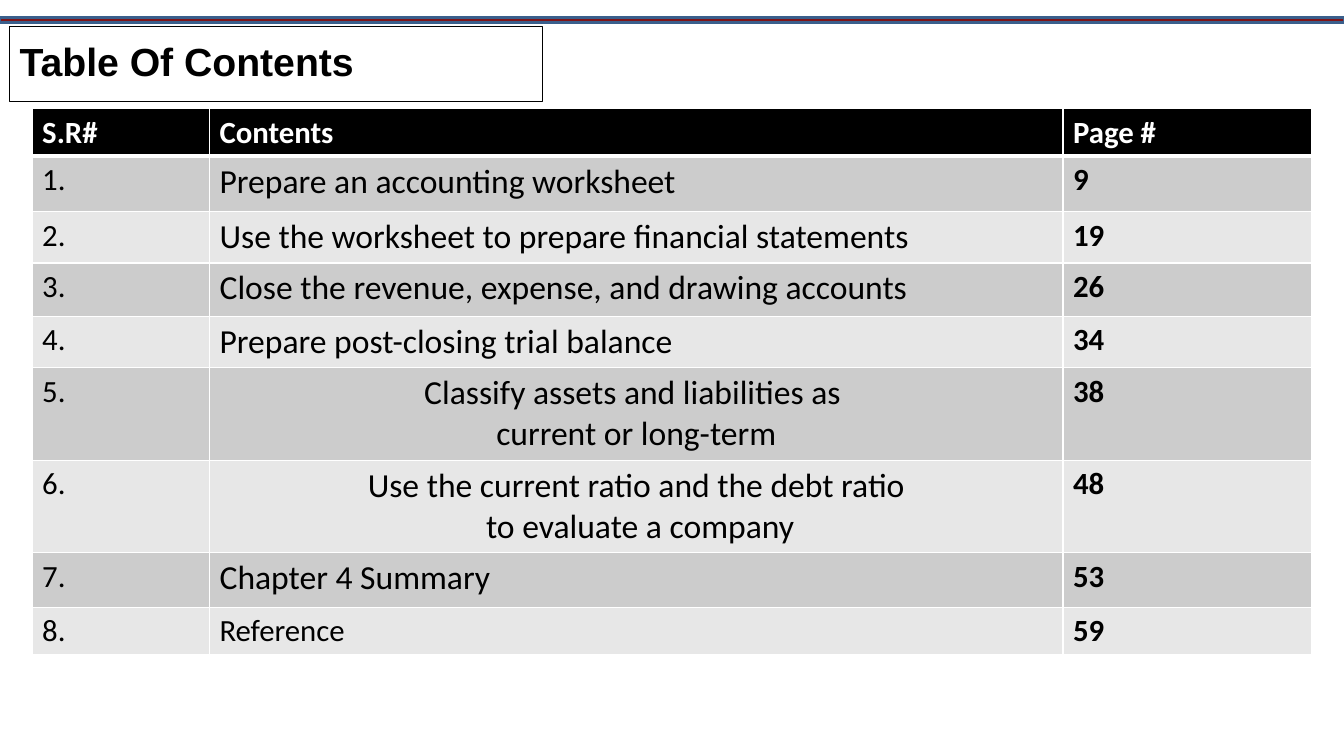
from dataclasses import dataclass

from lxml.etree import SubElement
from pptx import Presentation
from pptx.dml.color import RGBColor
from pptx.enum.shapes import MSO_SHAPE
from pptx.enum.text import MSO_ANCHOR, MSO_AUTO_SIZE, PP_ALIGN
from pptx.oxml.ns import qn
from pptx.util import Cm, Pt


@dataclass(frozen=True)
class Theme:
    """Colours, fonts and type sizes of the slide."""
    black: str = "000000"
    white: str = "FFFFFF"
    stripe: str = "7F1417"
    stripe_edge: str = "3A5F8C"
    bands: tuple = ("CCCCCC", "E7E7E7")
    title_font: str = "Arial"
    table_font: str = "Calibri"
    title_size: int = 28
    label_size: int = 22
    topic_size: int = 24


THEME = Theme()
COLUMN_WIDTHS = (4.47, 21.51, 6.27)
HEADINGS = ("S.R#", "Contents", "Page #")
HEADING_HEIGHT = 1.17
ENTRIES = (
    ("Prepare an accounting worksheet", "9", 1.4),
    ("Use the worksheet to prepare financial statements", "19", 1.29),
    ("Close the revenue, expense, and drawing accounts", "26", 1.35),
    ("Prepare post-closing trial balance", "34", 1.29),
    ("Classify assets and liabilities as \ncurrent or long-term", "38", 2.33),
    ("Use the current ratio and the debt ratio\n to evaluate a company", "48", 2.33),
    ("Chapter 4 Summary", "53", 1.37),
    ("Reference", "59", 1.2),
)


def color(value):
    """Return a colour object for a hex value."""
    return RGBColor.from_string(value)


def style_font(font, name, size, value, bold):
    """Apply a typeface, size, colour and weight to a font."""
    font.name, font.size, font.bold = name, Pt(size), bold
    font.color.rgb = color(value)


def add_stripe(slide, left, top, width, height):
    """Draw the coloured stripe along the top edge."""
    stripe = slide.shapes.add_shape(
        MSO_SHAPE.RECTANGLE, Cm(left), Cm(top), Cm(width), Cm(height))
    stripe.shadow.inherit = False
    stripe.fill.solid()
    stripe.fill.fore_color.rgb = color(THEME.stripe)
    stripe.line.color.rgb = color(THEME.stripe_edge)
    stripe.line.width = Pt(2)


def place_title(slide, text, left, top, width, height):
    """Fit the title placeholder into an outlined box."""
    title = slide.shapes.title
    title.left, title.top = Cm(left), Cm(top)
    title.width, title.height = Cm(width), Cm(height)
    title.line.color.rgb = color(THEME.black)
    title.line.width = Pt(0.75)
    frame = title.text_frame
    frame.text = text
    frame.word_wrap = True
    frame.auto_size = MSO_AUTO_SIZE.NONE
    frame.vertical_anchor = MSO_ANCHOR.MIDDLE
    paragraph = frame.paragraphs[0]
    paragraph.alignment = PP_ALIGN.LEFT
    paragraph.line_spacing = 0.9
    paragraph.space_before = Pt(0)
    style_font(paragraph.font, THEME.title_font, THEME.title_size, THEME.black, True)


def add_borders(cell, top, bottom):
    """Give a cell white borders with the given top and bottom widths."""
    properties = cell._tc.get_or_add_tcPr()
    for side, width in (("L", 1), ("R", 1), ("T", top), ("B", bottom)):
        line = SubElement(properties, qn(f"a:ln{side}"), w=str(Pt(width)))
        fill = SubElement(line, qn("a:solidFill"))
        SubElement(fill, qn("a:srgbClr"), val=THEME.white)


def fill_cell(cell, text, size, text_color, bold, background, top=1, bottom=1):
    """Write and format one table cell, centring text of several paragraphs."""
    add_borders(cell, top, bottom)
    cell.fill.solid()
    cell.fill.fore_color.rgb = color(background)
    cell.text = text
    paragraphs = cell.text_frame.paragraphs
    for paragraph in paragraphs:
        paragraph.alignment = PP_ALIGN.CENTER if len(paragraphs) > 1 else PP_ALIGN.LEFT
        style_font(paragraph.font, THEME.table_font, size, text_color, bold)


def add_contents_table(slide, left, top):
    """Build the table of numbered topics and page numbers."""
    heights = (HEADING_HEIGHT, *(height for _, _, height in ENTRIES))
    table = slide.shapes.add_table(
        len(heights), len(COLUMN_WIDTHS), Cm(left), Cm(top),
        Cm(sum(COLUMN_WIDTHS)), Cm(sum(heights))).table
    table.first_row = table.horz_banding = False
    for column, width in zip(table.columns, COLUMN_WIDTHS):
        column.width = Cm(width)
    for row, height in zip(table.rows, heights):
        row.height = Cm(height)
    for column, heading in enumerate(HEADINGS):
        fill_cell(table.cell(0, column), heading, THEME.label_size,
                  THEME.white, True, THEME.black, bottom=3)
    for number, (topic, page, _) in enumerate(ENTRIES, 1):
        is_reference = number == len(ENTRIES)
        topic_size = THEME.label_size if is_reference else THEME.topic_size
        values = (
            (f"{number}.", THEME.label_size, False),
            (topic, topic_size, False),
            (page, THEME.label_size, True),
        )
        for column, (text, size, bold) in enumerate(values):
            fill_cell(table.cell(number, column), text, size, THEME.black, bold,
                      THEME.bands[(number - 1) % 2], top=3 if number == 1 else 1)


def main():
    """Create the table of contents slide and save it."""
    presentation = Presentation()
    presentation.slide_width, presentation.slide_height = Cm(33.87), Cm(19.05)
    slide = presentation.slides.add_slide(presentation.slide_layouts[5])
    add_stripe(slide, 0, 0.45, 33.87, 0.12)
    place_title(slide, "Table Of Contents", 0.24, 0.67, 13.44, 1.88)
    add_contents_table(slide, 0.81, 2.74)
    presentation.save("out.pptx")


if __name__ == "__main__":
    main()
